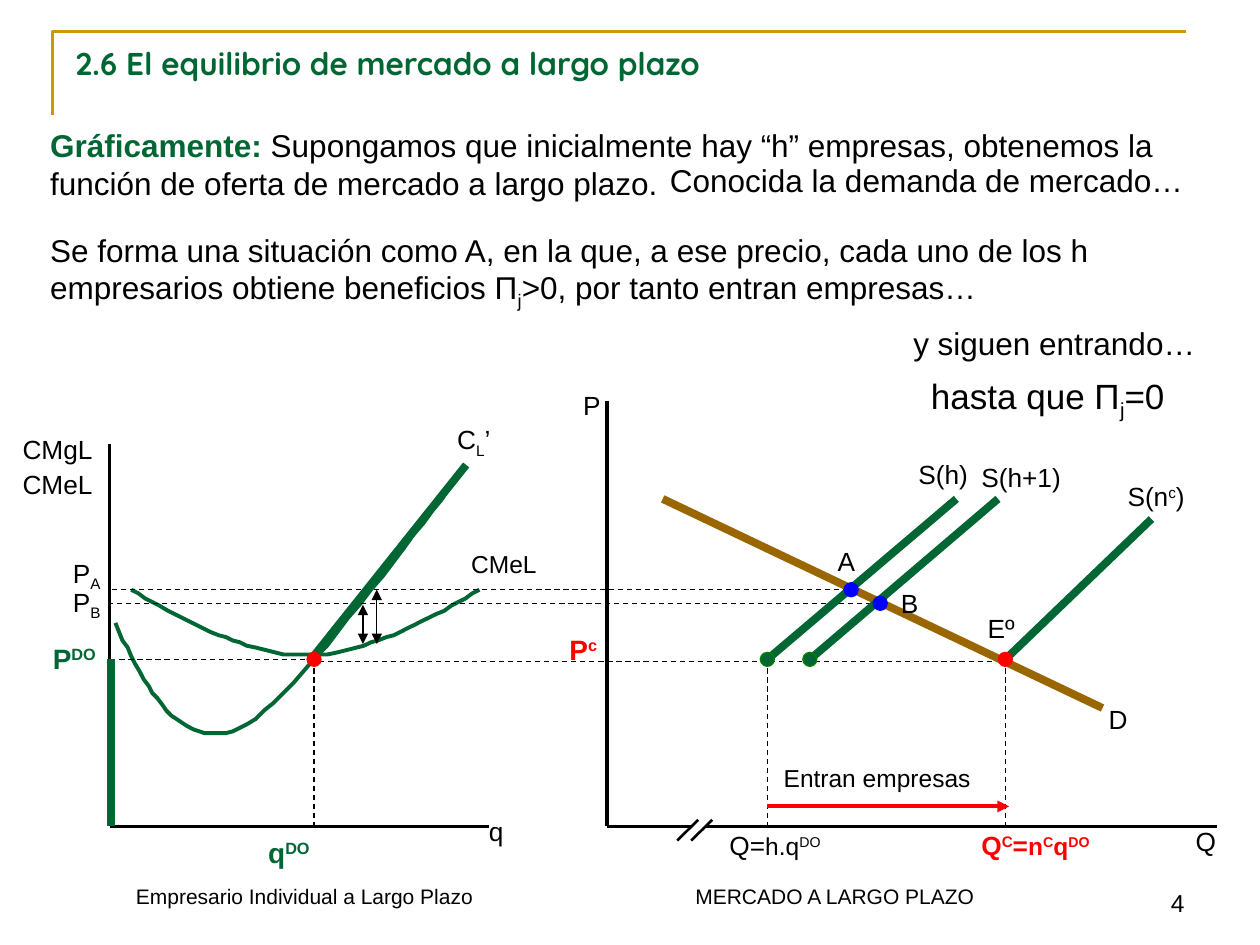
"""Build the slide on long-run market equilibrium: one firm beside the whole market."""
from dataclasses import dataclass
from typing import Optional

from lxml import etree
from pptx import Presentation
from pptx.dml.color import RGBColor
from pptx.enum import dml, shapes, text
from pptx.oxml.ns import qn
from pptx.util import Pt


@dataclass(frozen=True)
class Theme:
    black: str = "000000"
    green: str = "006633"
    rim: str = "008000"
    red: str = "FF0000"
    blue: str = "0000FF"
    brown: str = "996600"
    gold: str = "CC9900"
    font: str = "Arial"
    title_font: str = "Quicksand"
    body: float = 18
    closing: float = 20
    strong: float = 16
    label: float = 15
    small: float = 14
    caption: float = 12
    thin: float = 0.75
    medium: float = 1.5
    axis: float = 2.25
    thick: float = 4.5


@dataclass(frozen=True)
class Run:
    words: str
    shift: int = 0
    size: Optional[float] = None
    color: Optional[str] = None
    bold: Optional[bool] = None


@dataclass(frozen=True)
class Segment:
    start: tuple
    end: tuple
    color: str
    width: float
    dashed: bool = False
    heads: tuple = ()


@dataclass(frozen=True)
class Dot:
    x: float
    y: float
    fill: str
    rim: str


@dataclass(frozen=True)
class Label:
    runs: tuple
    box: tuple
    size: float = Theme.label
    color: str = Theme.black
    bold: bool = False


T = Theme()
DOT_SIZE = 8
BASE, PRICE_A, PRICE_B, PRICE_EQ = 472.3, 337, 344.8, 376.8
FIRM_AXIS, FIRM_Q, MARKET_AXIS = 62.6, 179.5, 347
Q_H, Q_H1, Q_C = 438.5, 462.8, 574.5


def rgb(color: str) -> RGBColor:
    return RGBColor.from_string(color)


def sup(words: str, size: Optional[float] = None) -> Run:
    return Run(words, 30, size)


def sub(words: str) -> Run:
    return Run(words, -25)


def write(slide, runs, box, *, size=T.label, color=T.black, bold=False, font=T.font,
          margins=(10, 5), wrap=True, align=text.PP_ALIGN.LEFT, anchor=text.MSO_ANCHOR.TOP) -> None:
    frame = slide.shapes.add_textbox(*map(Pt, box)).text_frame
    frame.word_wrap, frame.vertical_anchor = wrap, anchor
    frame.margin_left = frame.margin_right = Pt(margins[0])
    frame.margin_top = frame.margin_bottom = Pt(margins[1])
    paragraph = frame.paragraphs[0]
    paragraph.alignment = align
    for part in runs:
        run = paragraph.add_run()
        run.text = part.words
        run.font.name, run.font.size = font, Pt(part.size or size)
        run.font.bold = bold if part.bold is None else part.bold
        run.font.color.rgb = rgb(part.color or color)
        if part.shift:
            run._r.get_or_add_rPr().set("baseline", str(part.shift * 1000))


def draw_segment(slide, segment: Segment) -> None:
    connector = slide.shapes.add_connector(
        shapes.MSO_CONNECTOR.STRAIGHT, *map(Pt, segment.start + segment.end))
    connector.line.color.rgb, connector.line.width = rgb(segment.color), Pt(segment.width)
    if segment.dashed:
        connector.line.dash_style = dml.MSO_LINE.DASH
    for head in segment.heads:
        etree.SubElement(connector.line._get_or_add_ln(), qn(f"a:{head}"), type="triangle")
    etree.SubElement(connector._element.spPr, qn("a:effectLst"))


def draw_outline(slide, points: list, color: str, width: float) -> None:
    builder = slide.shapes.build_freeform(*points[0], scale=Pt(1))
    builder.add_line_segments(points[1:], close=False)
    outline = builder.convert_to_shape()
    outline.shadow.inherit = False
    outline.fill.background()
    outline.line.color.rgb, outline.line.width = rgb(color), Pt(width)


def bezier(anchors: list, steps: int = 24) -> list:
    points = [anchors[0]]
    for first in range(0, len(anchors) - 1, 3):
        a, b, c, d = anchors[first:first + 4]
        for t in (step / steps for step in range(1, steps + 1)):
            s = 1 - t
            points.append(tuple(s**3 * a[i] + 3 * s * s * t * b[i] + 3 * s * t * t * c[i] + t**3 * d[i]
                                for i in (0, 1)))
    return points


def draw_dot(slide, dot: Dot) -> None:
    corner = (dot.x - DOT_SIZE / 2, dot.y - DOT_SIZE / 2)
    mark = slide.shapes.add_shape(shapes.MSO_SHAPE.OVAL, *map(Pt, corner + (DOT_SIZE, DOT_SIZE)))
    mark.shadow.inherit = False
    mark.fill.solid()
    mark.fill.fore_color.rgb = rgb(dot.fill)
    mark.line.color.rgb, mark.line.width = rgb(dot.rim), Pt(T.thin)


def guide(start: tuple, end: tuple) -> Segment:
    return Segment(start, end, T.black, T.thin, dashed=True)


def axis(start: tuple, end: tuple) -> Segment:
    return Segment(start, end, T.black, T.axis)


def supply(start: tuple, end: tuple) -> Segment:
    return Segment(start, end, T.green, T.thick)


BOTH = ("headEnd", "tailEnd")
SEGMENTS = [
    guide((490, PRICE_A), (FIRM_AXIS, PRICE_A)), guide((498, PRICE_B), (FIRM_AXIS, PRICE_B)),
    guide((FIRM_Q, PRICE_EQ), (67.7, PRICE_EQ)), guide((182, 378), (571, 378)),
    *(guide((x, PRICE_EQ), (x, BASE)) for x in (FIRM_Q, Q_H, Q_C)),
    axis((FIRM_AXIS, 253.5), (FIRM_AXIS, BASE)), axis((FIRM_AXIS, BASE), (279.4, BASE)),
    axis((MARKET_AXIS, 229), (MARKET_AXIS, BASE)), axis((MARKET_AXIS, BASE), (394.6, BASE)),
    axis((403.2, BASE), (695.5, BASE)),
    *(Segment((x, 468.5), (x - 12, 480.3), T.black, T.medium) for x in (399, 407)),
    Segment((378.7, 285.1), (630, 404.6), T.brown, T.thick),
    supply((Q_H, PRICE_EQ), (546.5, 285.1)), supply((Q_H1, PRICE_EQ), (570.3, 285.1)),
    supply((Q_C, PRICE_EQ), (658, 296.6)),
    supply((63.5, PRICE_EQ), (63.5, BASE)), supply((FIRM_Q, 374.6), (266.4, 265.7)),
    Segment((Q_H, 460.8), (576.7, 460.8), T.red, T.axis, heads=("tailEnd",)),
    Segment((215.3, PRICE_A), (215.3, 368), T.black, T.thin, heads=BOTH),
    Segment((207.4, 345.6), (207.4, 368), T.black, T.thin, heads=BOTH),
]
MARGINAL_COST = [(65.5, 356.4), (84.2, 393.8), (103, 430.6), (136.8, 416.2),
                 (169.9, 401), (244.8, 291.6), (266.4, 267.1)]
AVERAGE_COST = [(74.9, 337), (108, 355.7), (141.1, 374.4), (175, 374.4),
                (208.1, 374.4), (241.2, 355.7), (274.3, 337)]
DOTS = [
    Dot(Q_H, PRICE_EQ, T.green, T.rim), Dot(Q_H1, PRICE_EQ, T.green, T.rim),
    Dot(486.4, PRICE_A, T.blue, T.blue), Dot(503, PRICE_B, T.blue, T.blue),
    Dot(Q_C, PRICE_EQ, T.red, T.red), Dot(FIRM_Q, PRICE_EQ, T.red, T.red),
]
LABELS = [
    Label((Run("CMgL"),), (2.9, 242.6, 72, 36)),
    Label((Run("CMeL"),), (2.9, 262.8, 72, 36)),
    Label((Run("P"), sub("A")), (31.7, 313.2, 47.5, 36)),
    Label((Run("P"), sub("B")), (31.7, 329.8, 47.5, 36)),
    Label((Run("P"), sup("DO")), (20.2, 361.4, 47.5, 36), T.strong, T.green, True),
    Label((Run("q"), sup("DO")), (143.3, 472.3, 59.8, 23.8), T.strong, T.green, True),
    Label((Run("C"), sub("L"), Run("’")), (251.3, 236.9, 67.7, 36)),
    Label((Run("CMeL"),), (259.2, 308.9, 63.4, 26.6), T.small),
    Label((Run("q"),), (269.3, 460.8, 30.2, 36)),
    Label((Run("P"),), (323.3, 217.4, 36, 36)),
    Label((Run("P"), sup("c")), (315.4, 356.4, 59.8, 36), T.strong, T.red, True),
    Label((Run("S(h)"),), (514.8, 257, 59.8, 28)),
    Label((Run("S(h+1)"),), (550.8, 258.5, 75.6, 28)),
    Label((Run("S(n"), sup("c"), Run(")")), (634.3, 269.3, 79.9, 36)),
    Label((Run("A"),), (468.7, 306.7, 40.3, 36)),
    Label((Run("B"),), (504.7, 330.5, 39.6, 36)),
    Label((Run("Eº"),), (554.4, 344.9, 59.8, 36)),
    Label((Run("D"),), (623.5, 396.7, 43.9, 36)),
    Label((Run("Q"),), (673.2, 466.6, 30.2, 36)),
    Label((Run("Q="), Run("h.q", size=T.small), sup("DO", T.small)), (406.8, 468.7, 119.5, 31.7)),
    Label((Run("Q"), sup("C"), Run("="), Run("n", size=T.small), sup("C", T.small),
           Run("q", size=T.small), sup("DO", T.small)), (550.8, 468.7, 103, 31.7), T.label, T.red, True),
    Label((Run("Entran empresas"),), (437.8, 431.3, 135.4, 36), T.small),
    Label((Run("Empresario Individual a Largo Plazo"),), (67.7, 499.7, 247.7, 27.4), T.caption),
    Label((Run("MERCADO A LARGO PLAZO"),), (387.4, 499.7, 259.2, 24.5), T.caption),
]


def write_prose(slide) -> None:
    prose = dict(size=T.body, margins=(7.2, 3.6))
    write(slide, [Run("2.6 El equilibrio de mercado a largo plazo")], (36, 21.6, 648, 43.9),
          color=T.green, bold=True, font=T.title_font, **prose)
    write(slide, [Run("Gráficamente:", color=T.green, bold=True),
                  Run(" Supongamos que inicialmente hay “h” empresas, obtenemos la función "
                      "de oferta de mercado a largo plazo.")], (21.6, 68.4, 661, 50.4), **prose)
    write(slide, [Run("Conocida la demanda de mercado…")], (375.8, 88.6, 307.4, 28.8), wrap=False, **prose)
    write(slide, [Run("Se forma una situación como A, en la que, a ese precio, cada uno de los h "
                      "empresarios obtiene beneficios Π"), sub("j"),
                  Run(">0, por tanto entran empresas…")], (21.6, 128.2, 685.4, 53.3), **prose)
    write(slide, [Run("y siguen entrando…")], (514.8, 181.4, 175.7, 28.8), wrap=False, **prose)
    write(slide, [Run("hasta que Π"), sub("j"), Run("=0")], (524.9, 210.2, 149, 34.6),
          wrap=False, **{**prose, "size": T.closing})
    write(slide, [Run("4")], (516.2, 491.8, 167.8, 36), align=text.PP_ALIGN.RIGHT,
          anchor=text.MSO_ANCHOR.BOTTOM, **{**prose, "size": T.small})


def main() -> None:
    deck = Presentation()
    deck.slide_width, deck.slide_height = Pt(720), Pt(540)
    slide = deck.slides.add_slide(deck.slide_layouts[6])
    draw_outline(slide, [(30, 66), (30, 18), (678, 18)], T.gold, T.medium)
    for cost in (MARGINAL_COST, AVERAGE_COST):
        draw_outline(slide, bezier(cost), T.green, T.axis)
    for segment in SEGMENTS:
        draw_segment(slide, segment)
    for dot in DOTS:
        draw_dot(slide, dot)
    for label in LABELS:
        write(slide, label.runs, label.box, size=label.size, color=label.color, bold=label.bold)
    write_prose(slide)
    deck.save("out.pptx")


if __name__ == "__main__":
    main()
